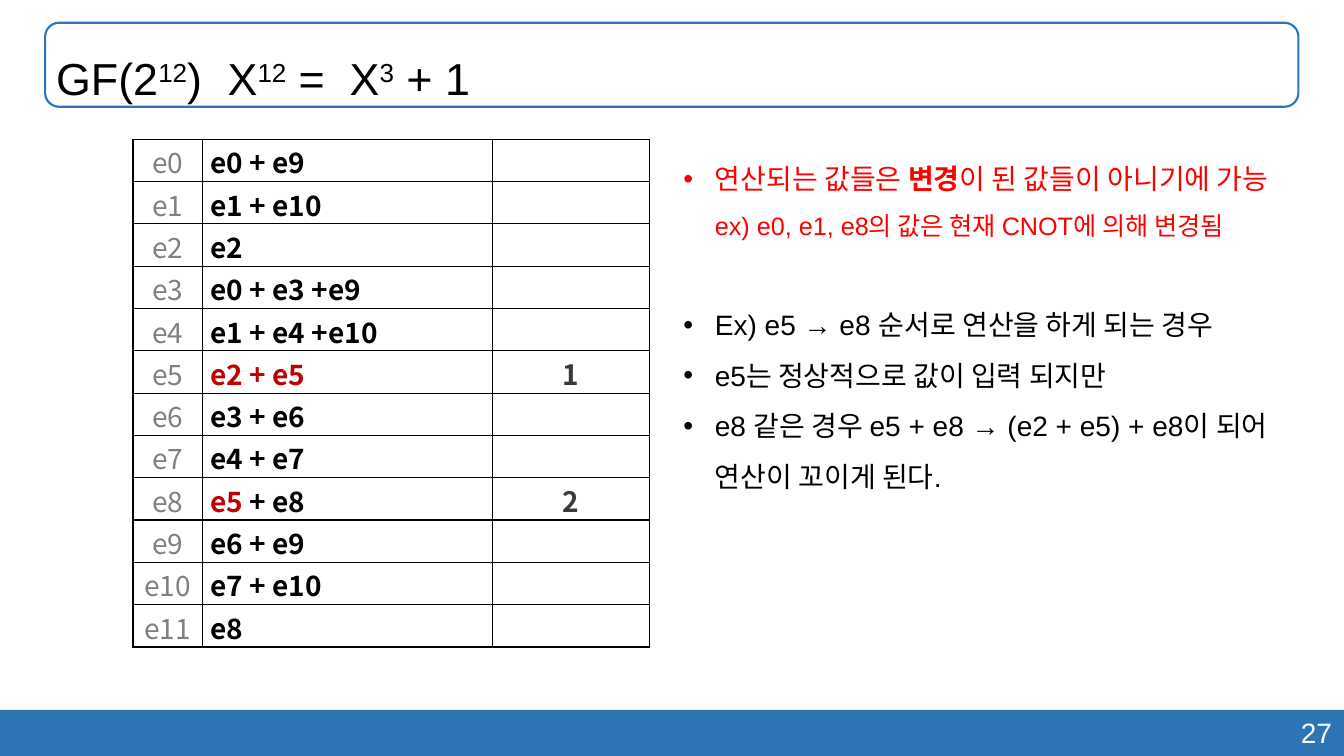
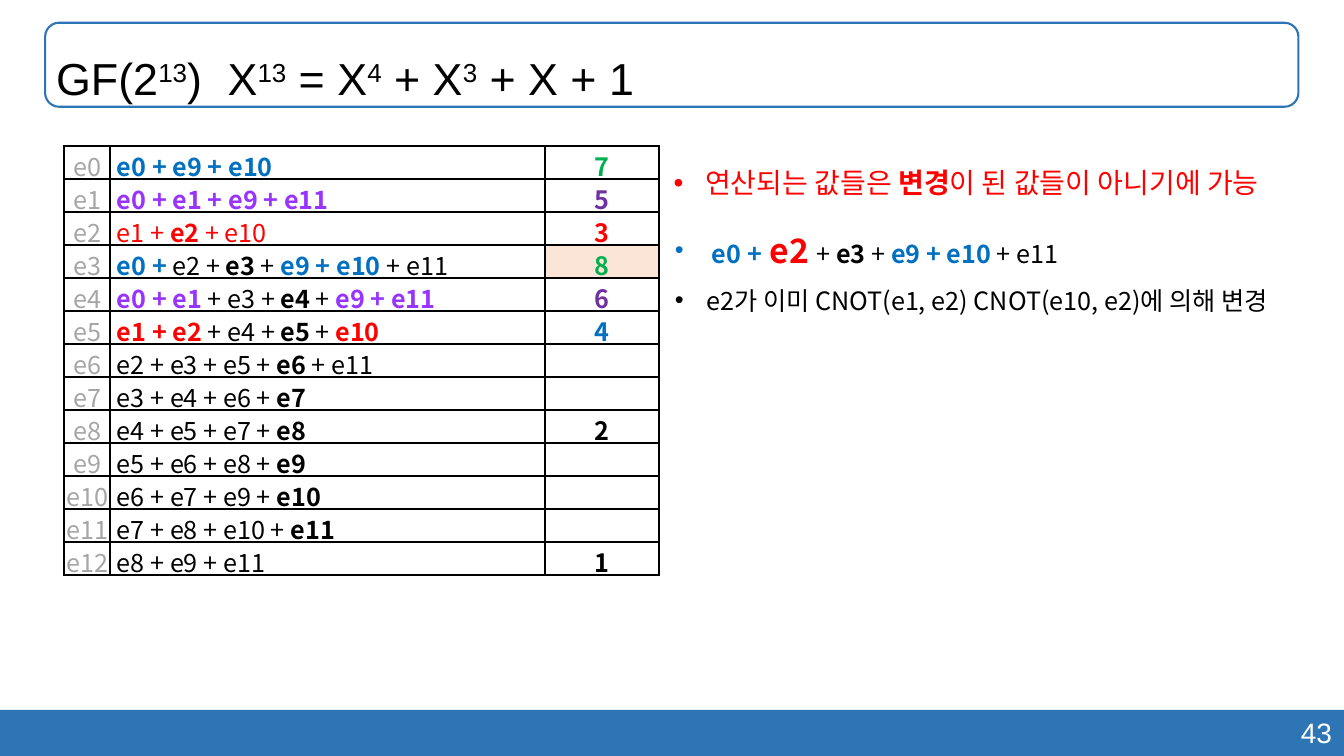
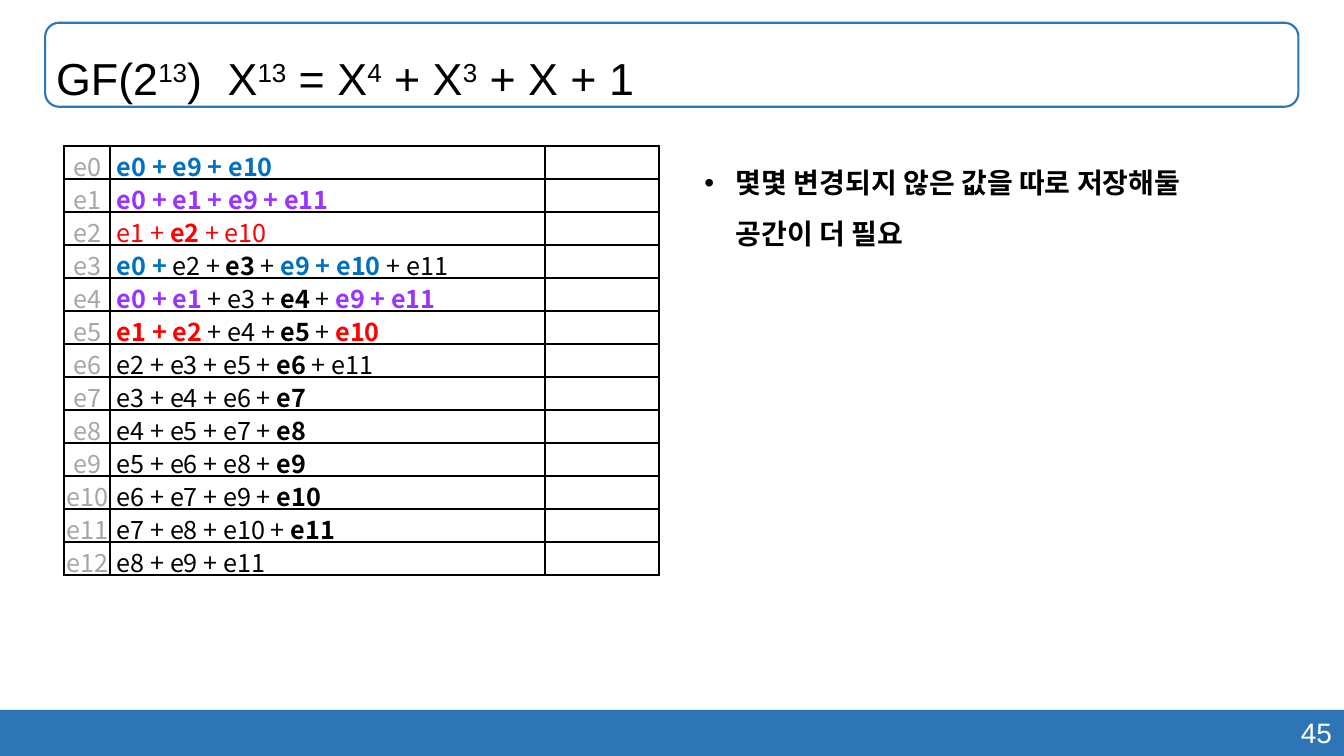
from pptx import Presentation
from pptx.dml.color import RGBColor
from pptx.enum import shapes, text
from pptx.oxml.ns import qn
from pptx.util import Pt
from lxml import etree

BAND = RGBColor(0x2E, 0x75, 0xB6)
BLACK = RGBColor(0x00, 0x00, 0x00)
WHITE = RGBColor(0xFF, 0xFF, 0xFF)
GRAY = RGBColor(0x80, 0x80, 0x80)
LIGHT_GRAY = RGBColor(0xA6, 0xA6, 0xA6)
DARK_GRAY = RGBColor(0x3B, 0x38, 0x38)
RED = RGBColor(0xFF, 0x00, 0x00)
DARK_RED = RGBColor(0xC0, 0x00, 0x00)
BLUE = RGBColor(0x00, 0x70, 0xC0)
VIOLET = RGBColor(0x99, 0x33, 0xFF)
PURPLE = RGBColor(0x70, 0x30, 0xA0)
GREEN = RGBColor(0x00, 0xB0, 0x50)
PEACH = RGBColor(0xFB, 0xE5, 0xD6)

ARIAL = "Arial"
NOTO = "Noto Sans CJK KR"

# A run is (text, colour, bold) or (text, colour, bold, size).
# Every second piece of a title is superscript.
TITLE_12 = ["GF(2", "12", ")\tX", "12", " =\tX", "3", " + 1"]
TITLE_13 = ["GF(2", "13", ")\tX", "13", " = X", "4", " + X", "3", " + X + 1"]
TITLE_TABS = (122.5, 209.75)

ROWS_12 = [[(t, BLACK, True)] for t in (
    "e0 + e9", "e1 + e10", "e2", "e0 + e3 +e9", "e1 + e4 +e10", "e2 + e5",
    "e3 + e6", "e4 + e7", "e5 + e8", "e6 + e9", "e7 + e10", "e8")]
ROWS_12[5] = [("e2 + e5", DARK_RED, True)]
ROWS_12[8] = [("e5", DARK_RED, True), (" + e8", BLACK, True)]

ROWS_13 = [
    [("e0 + e9 + e10", BLUE, True)],
    [("e0 + e1 + e9 + e11", VIOLET, True)],
    [("e1 + ", RED, False), ("e2", RED, True), (" + e10", RED, False)],
    [("e0 +", BLUE, True), (" e2 + ", BLACK, False), ("e3", BLACK, True),
     (" + ", BLACK, False), ("e9 + e10 ", BLUE, True), ("+ e11", BLACK, False)],
    [("e0 + e1", VIOLET, True), (" + e3 + ", BLACK, False), ("e4", BLACK, True),
     (" + ", BLACK, False), ("e9 + e11", VIOLET, True)],
    [("e1 + e2", RED, True), (" + e4 + ", BLACK, False), ("e5", BLACK, True),
     (" + ", BLACK, False), ("e10", RED, True)],
    [("e2 + e3 + e5 + ", BLACK, False), ("e6", BLACK, True), (" + e11", BLACK, False)],
    [("e3 + e4 + e6 + ", BLACK, False), ("e7", BLACK, True)],
    [("e4 + e5 + e7 + ", BLACK, False), ("e8", BLACK, True)],
    [("e5 + e6 + e8 + ", BLACK, False), ("e9", BLACK, True)],
    [("e6 + e7 + e9 + ", BLACK, False), ("e10", BLACK, True)],
    [("e7 + e8 + e10 + ", BLACK, False), ("e11", BLACK, True)],
    [("e8 + e9 + e11", BLACK, False)],
]

# Row number: (order of the operation, colour)
ORDER_12 = {5: ("1", DARK_GRAY), 8: ("2", DARK_GRAY)}
ORDER_13 = {0: ("7", GREEN), 1: ("5", PURPLE), 2: ("3", RED), 3: ("8", GREEN),
            4: ("6", PURPLE), 5: ("4", BLUE), 8: ("2", BLACK), 12: ("1", BLACK)}

TABLE_12 = dict(left=95, top=99.5, cols=(49.5, 207.5, 112), row=30.24, size=20,
                inset=1.44, indent=5.9, index=GRAY, border=1, last_border=2.25)
TABLE_13 = dict(left=45.75, top=104.5, cols=(33, 310.75, 81.25), row=23.58, size=18,
                inset=0.72, indent=4.75, index=LIGHT_GRAY, border=1.5, last_border=1.5)

POSSIBLE = [("연산되는 값들은 ", RED, False), ("변경", RED, True),
            ("이 된 값들이 아니기에 가능", RED, False)]
NOTES_12 = [
    POSSIBLE + [("\n", RED, False),
                ("ex) e0, e1, e8의 값은 현재 CNOT에 의해 변경됨", RED, False, 18)],
    [("Ex) e5 → e8 순서로 연산을 하게 되는 경우", BLACK, False)],
    [("e5는 정상적으로 값이 입력 되지만", BLACK, False)],
    [("e8 같은 경우 e5 + e8 → (e2 + e5) + e8이 되어", BLACK, False),
     ("\n", BLACK, False), ("연산이 꼬이게 된다.", BLACK, False)],
]
NOTES_CHANGED = [
    [("e0 +", BLUE, True), (" ", BLACK, False, 24), ("e2 ", RED, True, 24),
     ("+ ", BLACK, False), ("e3", BLACK, True), (" + ", BLACK, False),
     ("e9 + e10 ", BLUE, True), ("+ e11", BLACK, False)],
    [("e2가 이미 CNOT(e1, e2) CNOT(e10, e2)에 의해 변경", BLACK, False)],
]
NOTES_SPACE = [[("몇몇 변경되지 않은 값을 따로 저장해둘", BLACK, True),
                ("\n", BLACK, True), ("공간이 더 필요", BLACK, True)]]

# A note is (box, paragraphs, font, size, first-line text indents, gaps before).
SLIDES = [
    dict(number="27", title=TITLE_12, table=TABLE_12, rows=ROWS_12, order=ORDER_12,
         fills={}, notes=[((481, 100, 474.5, 258), NOTES_12, ARIAL, 20,
                           (22.5,) * 4, (0, 36, 0, 0))]),
    dict(number="43", title=TITLE_13, table=TABLE_13, rows=ROWS_13, order=ORDER_13,
         fills={3: PEACH},
         notes=[((474, 103, 474.5, 44), [POSSIBLE], ARIAL, 20, (22.5,), (0,)),
                ((475, 146, 463, 83.5), NOTES_CHANGED, NOTO, 18, (26.5, 22.5), (0, 0))]),
    dict(number="45", title=TITLE_13, table=TABLE_13, rows=ROWS_13, order={},
         fills={}, notes=[((496, 103, 394, 75.5), NOTES_SPACE, ARIAL, 20, (22.5,), (0,))]),
]


def points(values):
    return [Pt(v) for v in values]


def add_run(p, content, font, size, color, bold=False):
    r = p.add_run()
    r.text = content
    r.font.name, r.font.size, r.font.bold = font, Pt(size), bold
    r.font.color.rgb = color
    etree.SubElement(r._r.get_or_add_rPr(), qn("a:ea"), typeface=NOTO)
    return r


def add_runs(p, runs, font, size):
    for content, color, bold, *own_size in runs:
        if content == "\n":
            p.add_line_break()
        else:
            add_run(p, content, font, own_size[0] if own_size else size, color, bold)


def add_box(s, box):
    tf = s.shapes.add_textbox(*points(box)).text_frame
    tf.word_wrap = True
    return tf


def add_frame(s, number):
    """Draw the bottom band, the page number and the title outline."""
    band = s.shapes.add_shape(shapes.MSO_SHAPE.RECTANGLE, *points((0, 507, 960, 33)))
    band.shadow.inherit = False
    band.fill.solid()
    band.fill.fore_color.rgb = BAND
    band.line.fill.background()

    p = add_box(s, (677.5, 507.5, 281, 31.5)).paragraphs[0]
    p.alignment = text.PP_ALIGN.RIGHT
    add_run(p, number, ARIAL, 20, WHITE)

    outline = s.shapes.add_shape(shapes.MSO_SHAPE.ROUNDED_RECTANGLE,
                                 *points((32.25, 16.25, 895.25, 60)))
    outline.shadow.inherit = False
    outline.fill.background()
    outline.line.color.rgb = BAND
    outline.line.width = Pt(1.5)


def add_title(s, pieces):
    tf = add_box(s, (33, 16, 895, 60))
    tf.vertical_anchor = text.MSO_ANCHOR.MIDDLE
    p = tf.paragraphs[0]
    p.line_spacing = 1.5
    tabs = etree.SubElement(p._p.get_or_add_pPr(), qn("a:tabLst"))
    for pos in TITLE_TABS:
        etree.SubElement(tabs, qn("a:tab"), pos=str(Pt(pos)), algn="l")
    for i, piece in enumerate(pieces):
        r = add_run(p, piece, ARIAL, 32, BLACK)
        if i % 2:
            r.font._element.set("baseline", "30000")


def set_borders(cell, width, bottom):
    tcPr = cell._tc.get_or_add_tcPr()
    for side, w in (("L", width), ("R", width), ("T", width), ("B", bottom)):
        ln = etree.SubElement(tcPr, qn("a:ln" + side), w=str(Pt(w)))
        fill = etree.SubElement(ln, qn("a:solidFill"))
        etree.SubElement(fill, qn("a:srgbClr"), val=str(BLACK))


def add_register_table(s, look, rows, order, fills):
    """Table of register name, its sum, and the order of the operation."""
    n = len(rows)
    table = s.shapes.add_table(n, 3, *points(
        (look["left"], look["top"], sum(look["cols"]), look["row"] * n))).table
    table.first_row = table.horz_banding = False
    for column, width in zip(table.columns, look["cols"]):
        column.width = Pt(width)
    for i, terms in enumerate(rows):
        table.rows[i].height = Pt(look["row"])
        mark = [(*order[i], True)] if i in order else []
        bottom = look["last_border"] if i == n - 1 else look["border"]
        for j, runs in enumerate(([(f"e{i}", look["index"], False)], terms, mark)):
            cell = table.cell(i, j)
            cell.vertical_anchor = text.MSO_ANCHOR.MIDDLE
            cell.margin_left = Pt(look["indent"] if j == 1 else look["inset"])
            cell.margin_right = cell.margin_top = Pt(look["inset"])
            cell.margin_bottom = 0
            set_borders(cell, look["border"], bottom)
            if j == 2 and i in fills:
                cell.fill.solid()
                cell.fill.fore_color.rgb = fills[i]
            else:
                cell.fill.background()
            p = cell.text_frame.paragraphs[0]
            p.alignment = text.PP_ALIGN.LEFT if j == 1 else text.PP_ALIGN.CENTER
            add_runs(p, runs, NOTO, look["size"])


def add_notes(s, box, paragraphs, font, size, indents, gaps):
    tf = add_box(s, box)
    for i, (runs, indent, gap) in enumerate(zip(paragraphs, indents, gaps)):
        p = tf.add_paragraph() if i else tf.paragraphs[0]
        p.line_spacing = 1.5
        if gap:
            p.space_before = Pt(gap)
        pPr = p._p.get_or_add_pPr()
        pPr.set("marL", str(Pt(indent)))
        pPr.set("indent", str(-Pt(indent)))
        etree.SubElement(pPr, qn("a:buFont"), typeface=ARIAL)
        etree.SubElement(pPr, qn("a:buChar"), char="•")
        add_runs(p, runs, font, size)


def main():
    prs = Presentation()
    prs.slide_width, prs.slide_height = Pt(960), Pt(540)
    for page in SLIDES:
        s = prs.slides.add_slide(prs.slide_layouts[6])
        add_frame(s, page["number"])
        add_title(s, page["title"])
        add_register_table(s, page["table"], page["rows"], page["order"], page["fills"])
        for note in page["notes"]:
            add_notes(s, *note)
    prs.save("out.pptx")


if __name__ == "__main__":
    main()
